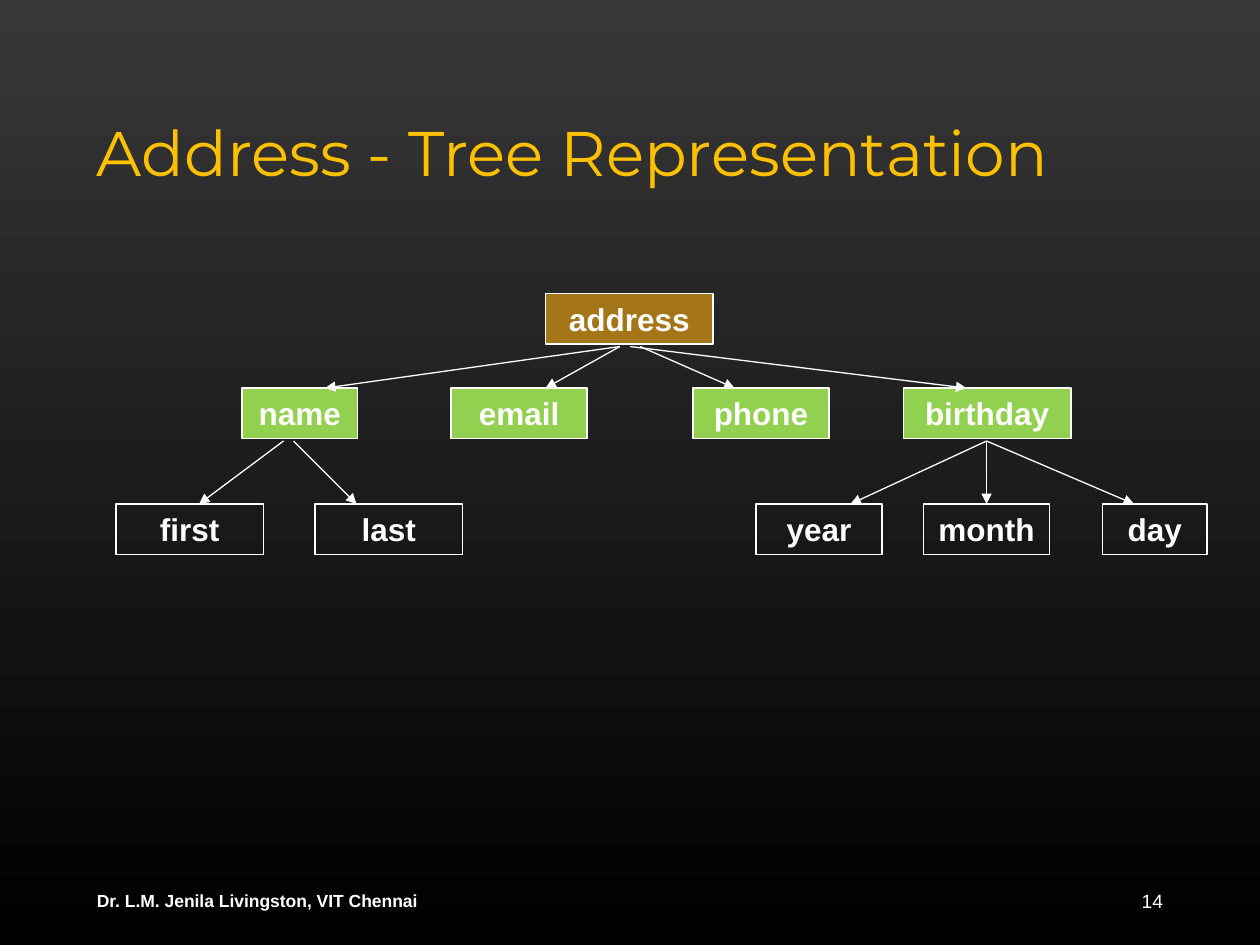
"""Build a slide that shows an address record as a tree."""
import pptx
import pptx.dml.color
import pptx.enum.shapes
import pptx.enum.text
import pptx.oxml
import pptx.oxml.ns
import pptx.util

Inches = pptx.util.Inches
Align = pptx.enum.text.PP_ALIGN
Anchor = pptx.enum.text.MSO_ANCHOR

WHITE, GOLD, BROWN, GREEN = "FFFFFF", "FFC000", "A57617", "92D050"
HIGH = 0.4

NODES = [
    (2.33, BROWN, [("address", 4.33, 1.33)]),
    (3.08, GREEN, [("name", 1.92, 0.92), ("email", 3.58, 1.08),
                   ("phone", 5.5, 1.08), ("birthday", 7.17, 1.33)]),
    (4, None, [("first", 0.92, 1.17), ("last", 2.5, 1.17), ("year", 6, 1),
               ("month", 7.33, 1), ("day", 8.75, 0.83)]),
]
LINKS = [
    (2.75, 3.08, [(4.92, 2.58), (4.92, 4.33), (5.08, 5.83), (5, 7.67)]),
    (3.5, 4, [(2.25, 1.58), (2.33, 2.83),
              (7.83, 6.75), (7.83, 7.83), (7.83, 9)]),
]


def tint(color, code):
    """Set a colour from a hex string."""
    color.rgb = pptx.dml.color.RGBColor.from_string(code)


def shade(slide, top, base):
    """Fill the background with a gradient that runs downwards."""
    fill = slide.background.fill
    fill.gradient()
    fill.gradient_angle = 270
    for stop, code in zip(fill.gradient_stops, (top, base)):
        tint(stop.color, code)


def write(shape, text, size, color=WHITE, font="Arial", bold=False,
          align=Align.LEFT, anchor=Anchor.MIDDLE):
    """Put one styled paragraph into a shape."""
    frame = shape.text_frame
    frame.word_wrap = True
    frame.vertical_anchor = anchor
    para = frame.paragraphs[0]
    para.text = text
    para.alignment = align
    para.font.name = font
    para.font.size = pptx.util.Pt(size)
    para.font.bold = bold
    tint(para.font.color, color)


def label(slide, text, place, size, **style):
    """Add a text box at left, top, width, height."""
    box = slide.shapes.add_textbox(*map(Inches, place))
    write(box, text, size, **style)


def stroke(line):
    """Draw a line thin and white."""
    line.width = pptx.util.Pt(0.75)
    tint(line.color, WHITE)


def node(slide, text, left, top, width, fill):
    """Add a tree node, hollow when it has no fill."""
    box = slide.shapes.add_shape(
        pptx.enum.shapes.MSO_SHAPE.RECTANGLE,
        *map(Inches, (left, top, width, HIGH)))
    box.shadow.inherit = False
    if fill:
        box.fill.solid()
        tint(box.fill.fore_color, fill)
    else:
        box.fill.background()
    stroke(box.line)
    write(box, text, 18, bold=True, align=Align.CENTER)


def arrow(slide, *ends):
    """Add an arrow from x, y to x, y."""
    link = slide.shapes.add_connector(
        pptx.enum.shapes.MSO_CONNECTOR.STRAIGHT, *map(Inches, ends))
    stroke(link.line)
    make, name = pptx.oxml.xmlchemy.OxmlElement, pptx.oxml.ns.qn
    tip = make("a:tailEnd")
    tip.set("type", "triangle")
    props = link._element.spPr
    props.find(name("a:ln")).append(tip)
    props.append(make("a:effectLst"))


def main():
    """Build and save the slide."""
    deck = pptx.Presentation()
    deck.slide_width, deck.slide_height = Inches(10), Inches(7.5)
    slide = deck.slides.add_slide(deck.slide_layouts[6])
    shade(slide, "383838", "000000")
    label(slide, "Address - Tree Representation", (0.67, 0.3, 9.17, 1.25), 36,
          color=GOLD, font="Montserrat", anchor=Anchor.BOTTOM)
    for top, fill, row in NODES:
        for text, left, width in row:
            node(slide, text, left, top, width, fill)
    for start, end, pairs in LINKS:
        for tail, head in pairs:
            arrow(slide, tail, start, head, end)
    label(slide, "Dr. L.M. Jenila Livingston, VIT Chennai",
          (0.67, 6.95, 3.75, HIGH), 10, bold=True)
    label(slide, "14", (8.25, 6.95, 1.08, HIGH), 11, align=Align.RIGHT)
    deck.save("out.pptx")


if __name__ == "__main__":
    main()
